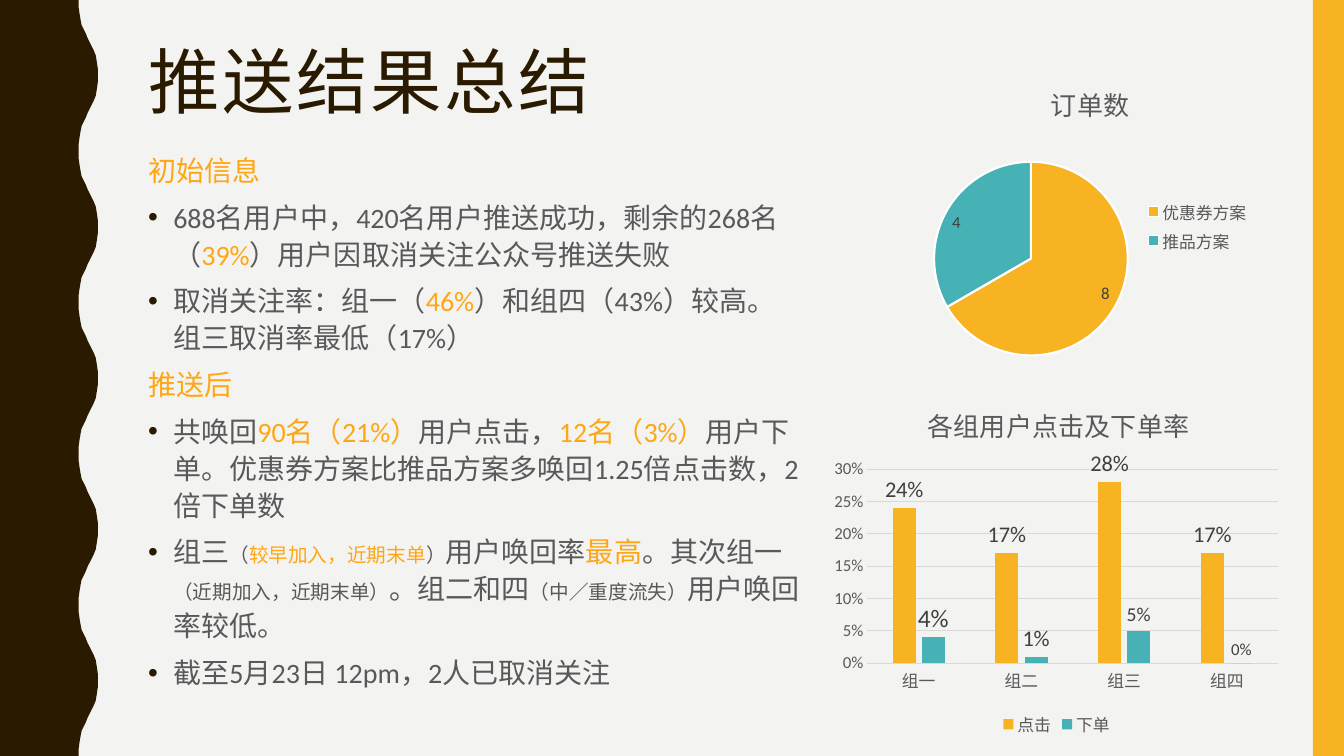
from lxml import etree
from pptx import Presentation
from pptx.chart.data import CategoryChartData
from pptx.dml.color import RGBColor
from pptx.enum.chart import XL_CHART_TYPE, XL_LABEL_POSITION, XL_LEGEND_POSITION, XL_TICK_MARK
from pptx.enum.lang import MSO_LANGUAGE_ID
from pptx.enum.shapes import MSO_SHAPE
from pptx.oxml.ns import qn
from pptx.util import Inches, Pt

BARS, PIE = XL_CHART_TYPE.COLUMN_CLUSTERED, XL_CHART_TYPE.PIE
ABOVE, INSIDE = XL_LABEL_POSITION.OUTSIDE_END, XL_LABEL_POSITION.INSIDE_END
BELOW, RIGHT = XL_LEGEND_POSITION.BOTTOM, XL_LEGEND_POSITION.RIGHT
NONE = XL_TICK_MARK.NONE
CHINESE = MSO_LANGUAGE_ID.SIMPLIFIED_CHINESE
WIDE = {ord(mark): ord(mark) + 0xFEE0 for mark in ",:()/"}

PAPER = RGBColor(0xF3, 0xF3, 0xF2)
BROWN = RGBColor(0x2A, 0x1A, 0x00)
GOLD = RGBColor(0xF8, 0xB3, 0x23)
TEAL = RGBColor(0x46, 0xB2, 0xB5)
ORANGE = RGBColor(0xFF, 0xA6, 0x15)
GREY = RGBColor(0x59, 0x59, 0x59)
DARK = RGBColor(0x40, 0x40, 0x40)
PALE = RGBColor(0xD9, 0xD9, 0xD9)
WHITE = RGBColor(0xFF, 0xFF, 0xFF)


class Deck:
    face = "Calibri"

    def __init__(self, slide):
        self.slide = slide
        self.shapes = slide.shapes
        slide.background.fill.solid()
        slide.background.fill.fore_color.rgb = PAPER

    def apply(self, item, **format):
        for name, value in format.items():
            setattr(item, name, value)

    def font(self, font, size, color, **format):
        self.apply(font, **{"name": self.face, "size": Pt(size), "bold": False, **format})
        font.fill.solid()
        font.fill.fore_color.rgb = color

    def paint(self, shape, color):
        shape.shadow.inherit = False
        shape.fill.solid()
        shape.fill.fore_color.rgb = color
        shape.line.fill.background()

    def rect(self, box, color):
        self.paint(self.shapes.add_shape(MSO_SHAPE.RECTANGLE, *map(Inches, box)), color)

    def outline(self, points, color):
        points = [(Inches(x), Inches(y)) for x, y in points]
        pen = self.shapes.build_freeform(*points[0])
        pen.add_line_segments(points[1:])
        self.paint(pen.convert_to_shape(), color)

    def text(self, box):
        frame = self.shapes.add_textbox(*map(Inches, box)).text_frame
        frame.word_wrap = True
        return frame

    def line(self, para, runs, bullet=False, **format):
        self.apply(para, **format)
        for words, size, color, extra in runs:
            run = para.add_run()
            run.text = words.translate(WIDE)
            self.font(run.font, size, color, language_id=CHINESE, **extra)
        if bullet:
            props = para._p.get_or_add_pPr()
            props.set("marL", str(Inches(0.25)))
            props.set("indent", str(-Inches(0.25)))
            tint = etree.SubElement(props, qn("a:buClr"))
            etree.SubElement(tint, qn("a:srgbClr"), val=str(BROWN))
            etree.SubElement(props, qn("a:buFont"), typeface="Arial")
            etree.SubElement(props, qn("a:buChar"), char="•")

    def place(self, chart, part, index, **edges):
        host = chart.element.xpath("c:chart/c:" + part)[0]
        for old in host.findall(qn("c:layout")):
            host.remove(old)
        layout = etree.Element(qn("c:layout"))
        manual = etree.SubElement(layout, qn("c:manualLayout"))
        if "w" in edges:
            etree.SubElement(manual, qn("c:layoutTarget"), val="inner")
        for name in "xy":
            etree.SubElement(manual, qn(f"c:{name}Mode"), val="edge")
        for name, value in edges.items():
            etree.SubElement(manual, qn("c:" + name), val=str(value))
        host.insert(index, layout)

    def chart(self, kind, box, title, groups, series, legend, head, area, spot, form):
        data = CategoryChartData(number_format=form)
        data.categories = groups
        for name, values in series:
            data.add_series(name, values)
        chart = self.shapes.add_chart(kind, *map(Inches, box), data).chart
        self.font(chart.font, 12, GREY)
        chart.has_title = True
        para = chart.chart_title.text_frame.paragraphs[0]
        self.line(para, [(title, 18.6, GREY, {})])
        self.place(chart, "title", 1, **dict(zip("xy", head)))
        self.place(chart, "plotArea", 0, **dict(zip("xywh", area)))
        chart.has_legend = True
        self.apply(chart.legend, position=legend, include_in_layout=False)
        self.font(chart.legend.font, 12, GREY)
        for row in chart.series:
            labels = row.data_labels
            self.apply(labels, show_value=True, position=spot, number_format=form,
                       number_format_is_linked=False)
            self.font(labels.font, 12, DARK)
        return chart


def wave():
    rise = [(0.78, 0), (0.78, 0.07), (0.79, 0.14), (0.8, 0.2), (0.81, 0.25),
            (0.83, 0.29), (0.85, 0.33), (0.87, 0.38), (0.89, 0.42), (0.91, 0.46),
            (0.93, 0.5), (0.95, 0.55), (0.96, 0.61), (0.97, 0.68), (0.97, 0.75)]
    cycle = rise + [(x, 1.5 - y) for x, y in rise[-2::-1]]
    edge = [(x, y + 1.5 * turn) for turn in range(5) for x, y in cycle]
    return [(0, 0), *edge, (0, 7.5)]


def plain(words):
    return words, 20, GREY, {}


def hot(words):
    return words, 20, ORANGE, {}


def small(words, color=GREY):
    return words, 14, color, {}


prs = Presentation()
prs.slide_width, prs.slide_height = Inches(13.33), Inches(7.5)
deck = Deck(prs.slides.add_slide(prs.slide_layouts[6]))
deck.outline(wave(), BROWN)
deck.rect((13.02, 0, 0.31, 7.5), GOLD)

title = deck.text((1.37, 0.42, 11.13, 1.63)).paragraphs[0]
deck.line(title, [("推送结果总结", 51, BROWN, {"name": "Arial Narrow"})], line_spacing=0.9)
title.runs[0].font._element.set("spc", "200")

lines = [
    (False, [hot("初始信息")]),
    (True, [plain("688名用户中,420名用户推送成功,剩余的268名("),
            hot("39%"), plain(")用户因取消关注公众号推送失败")]),
    (True, [plain("取消关注率:组一("), hot("46%"),
            plain(")和组四(43%)较高。组三取消率最低(17%)")]),
    (False, [hot("推送后")]),
    (True, [plain("共唤回"), hot("90名(21%)"), plain("用户点击,"), hot("12名(3%)"),
            plain("用户下单。优惠券方案比推品方案多唤回1.25倍点击数,2倍下单数")]),
    (True, [plain("组三"), small("("), small("较早加入,近期末单", ORANGE), small(")"),
            plain("用户唤回率"), hot("最高"), plain("。其次组一"),
            small("(近期加入,近期末单)"), plain("。组二和四"),
            small("(中/重度流失)"), plain("用户唤回率较低。")]),
    (True, [plain("截至5月23日 12pm,2人已取消关注")]),
]
body = deck.text((1.37, 1.44, 6.69, 5.53))
for index, (bullet, runs) in enumerate(lines):
    para = body.add_paragraph() if index else body.paragraphs[0]
    deck.line(para, runs, bullet, line_spacing=1.1, space_before=Pt(7))

rates = deck.chart(
    BARS, (8.19, 3.85, 4.58, 3.5), "各组用户点击及下单率", ["组一", "组二", "组三", "组四"],
    [("点击", (0.24, 0.17, 0.28, 0.17)), ("下单", (0.04, 0.01, 0.05, 0))],
    BELOW, (0.21, 0.03), (0.09, 0.23, 0.89, 0.55), ABOVE, "0%")
deck.apply(rates.plots[0], gap_width=219, overlap=-27, vary_by_categories=False)
for axis in (rates.category_axis, rates.value_axis):
    deck.apply(axis, major_tick_mark=NONE, minor_tick_mark=NONE)
    deck.font(axis.tick_labels.font, 12, GREY)
deck.apply(rates.value_axis, minimum_scale=0, maximum_scale=0.3, major_unit=0.05)
deck.apply(rates.value_axis.tick_labels, number_format="0%", number_format_is_linked=False)
rates.value_axis.format.line.fill.background()
for owner in (rates.category_axis, rates.value_axis.major_gridlines):
    owner.format.line.color.rgb = PALE
    owner.format.line.width = Pt(0.75)
for row, color, sizes in zip(rates.series, (GOLD, TEAL), ((16, 16, 16, 16), (18, 16, 14))):
    row.format.fill.solid()
    row.format.fill.fore_color.rgb = color
    for index, size in enumerate(sizes):
        label = row.points[index].data_label
        deck.font(label.font, size, DARK)
        label.position = ABOVE

orders = deck.chart(
    PIE, (9.13, 0.64, 3.37, 3.21), "订单数", ["优惠券方案", "推品方案"],
    [("订单数", (8, 4))], RIGHT, (0.37, 0.04), (0.04, 0.3, 0.57, 0.6), INSIDE, "General")
for index, color in enumerate((GOLD, TEAL)):
    wedge = orders.series[0].points[index].format
    wedge.fill.solid()
    wedge.fill.fore_color.rgb = color
    wedge.line.color.rgb = WHITE
    wedge.line.width = Pt(1.5)

prs.save("out.pptx")
